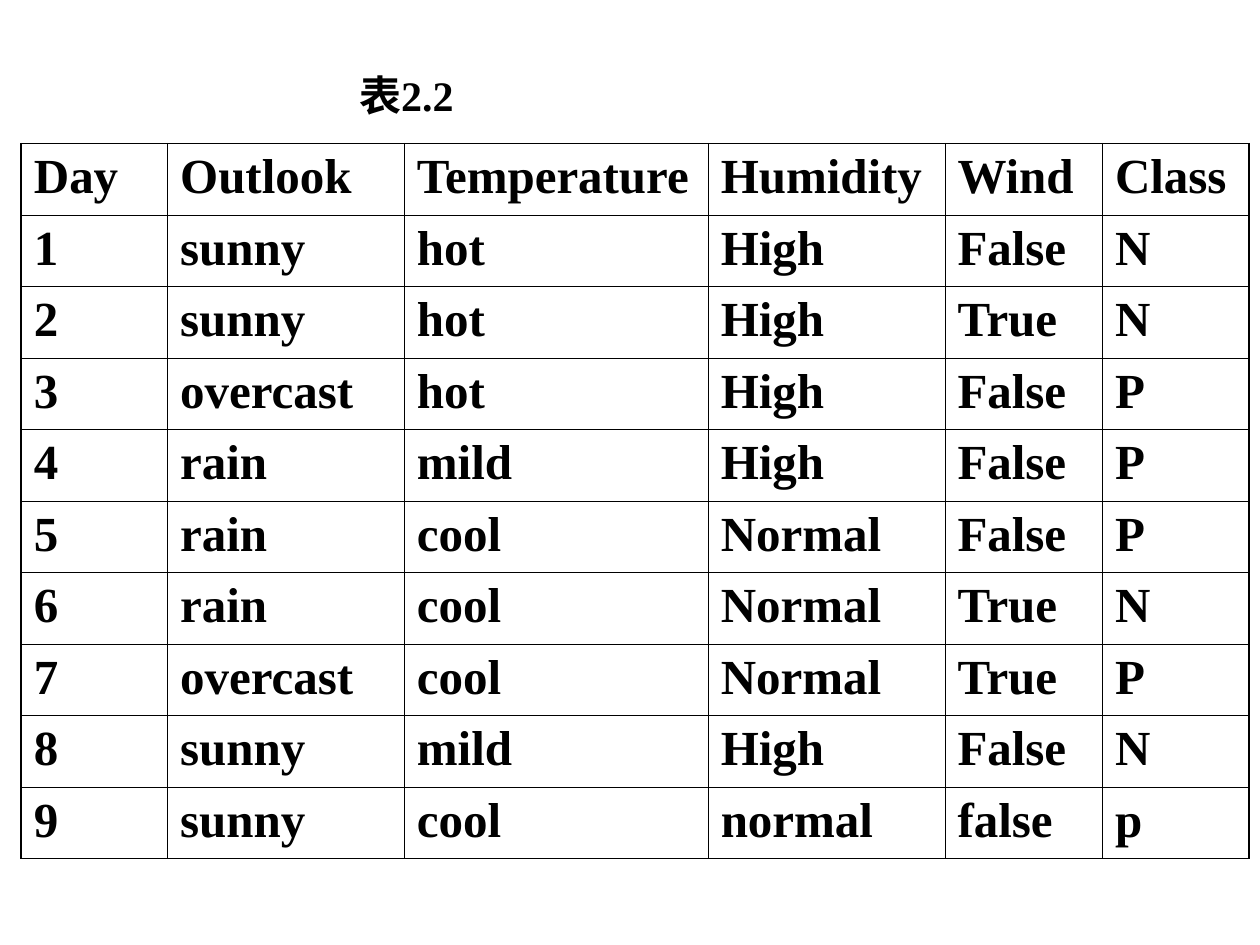
from pptx import Presentation
from pptx.dml import color
from pptx.enum import text
from pptx.oxml import ns
from pptx.util import Pt
from lxml import etree

FONT = {"name": "Times New Roman", "bold": True}
THIN, THICK = 0.45, 1.08
WIDTHS = [83.6, 135.3, 173.6, 135.3, 90, 83.6]
DAYS = [
    ["Day", "Outlook", "Temperature", "Humidity", "Wind", "Class"],
    ["1", "sunny", "hot", "High", "False", "N"],
    ["2", "sunny", "hot", "High", "True", "N"],
    ["3", "overcast", "hot", "High", "False", "P"],
    ["4", "rain", "mild", "High", "False", "P"],
    ["5", "rain", "cool", "Normal", "False", "P"],
    ["6", "rain", "cool", "Normal", "True", "N"],
    ["7", "overcast", "cool", "Normal", "True", "P"],
    ["8", "sunny", "mild", "High", "False", "N"],
    ["9", "sunny", "cool", "normal", "false", "p"],
]


def paint(target, code):
    target.rgb = color.RGBColor.from_string(code)


def assign(item, values):
    for key, value in values.items():
        setattr(item, key, value)


def write(frame, words, size):
    frame.text = words
    font = frame.paragraphs[0].runs[0].font
    assign(font, {**FONT, "size": Pt(size)})
    paint(font.color, "000000")


def border(cell, side, width):
    line = etree.SubElement(cell._tc.get_or_add_tcPr(), ns.qn("a:ln" + side), w=str(int(Pt(width))))
    fill = etree.SubElement(line, ns.qn("a:solidFill"))
    etree.SubElement(fill, ns.qn("a:srgbClr"), val="000000")


def add_title(slide, left, top, width, height):
    title = slide.shapes.title
    assign(title, {"left": Pt(left), "top": Pt(top), "width": Pt(width), "height": Pt(height)})
    frame = title.text_frame
    write(frame, "表2.2", 24)
    assign(frame, {
        "word_wrap": True,
        "auto_size": text.MSO_AUTO_SIZE.NONE,
        "vertical_anchor": text.MSO_ANCHOR.TOP,
    })
    assign(frame.paragraphs[0], {"alignment": text.PP_ALIGN.LEFT, "space_before": Pt(0)})


def add_days(slide, left, top, height):
    rows, cols = len(DAYS), len(WIDTHS)
    table = slide.shapes.add_table(rows, cols, Pt(left), Pt(top), Pt(sum(WIDTHS)), Pt(height)).table
    assign(table, {"first_row": False, "horz_banding": False})
    for col, width in zip(table.columns, WIDTHS):
        col.width = Pt(width)
    for r, day in enumerate(DAYS):
        table.rows[r].height = Pt(height / rows)
        for c, words in enumerate(day):
            cell = table.cell(r, c)
            write(cell.text_frame, words, 28)
            edges = {"L": c == 0, "R": c == cols - 1, "T": r == 0, "B": r == rows - 1}
            for side, outer in edges.items():
                border(cell, side, THICK if outer else THIN)
            cell.fill.background()


def main():
    deck = Presentation()
    assign(deck, {"slide_width": Pt(720), "slide_height": Pt(540)})
    slide = deck.slides.add_slide(deck.slide_layouts[5])
    add_title(slide, 198, 36, 90, 36)
    add_days(slide, 12.2, 82.1, 408.5)
    deck.save("out.pptx")


if __name__ == "__main__":
    main()
